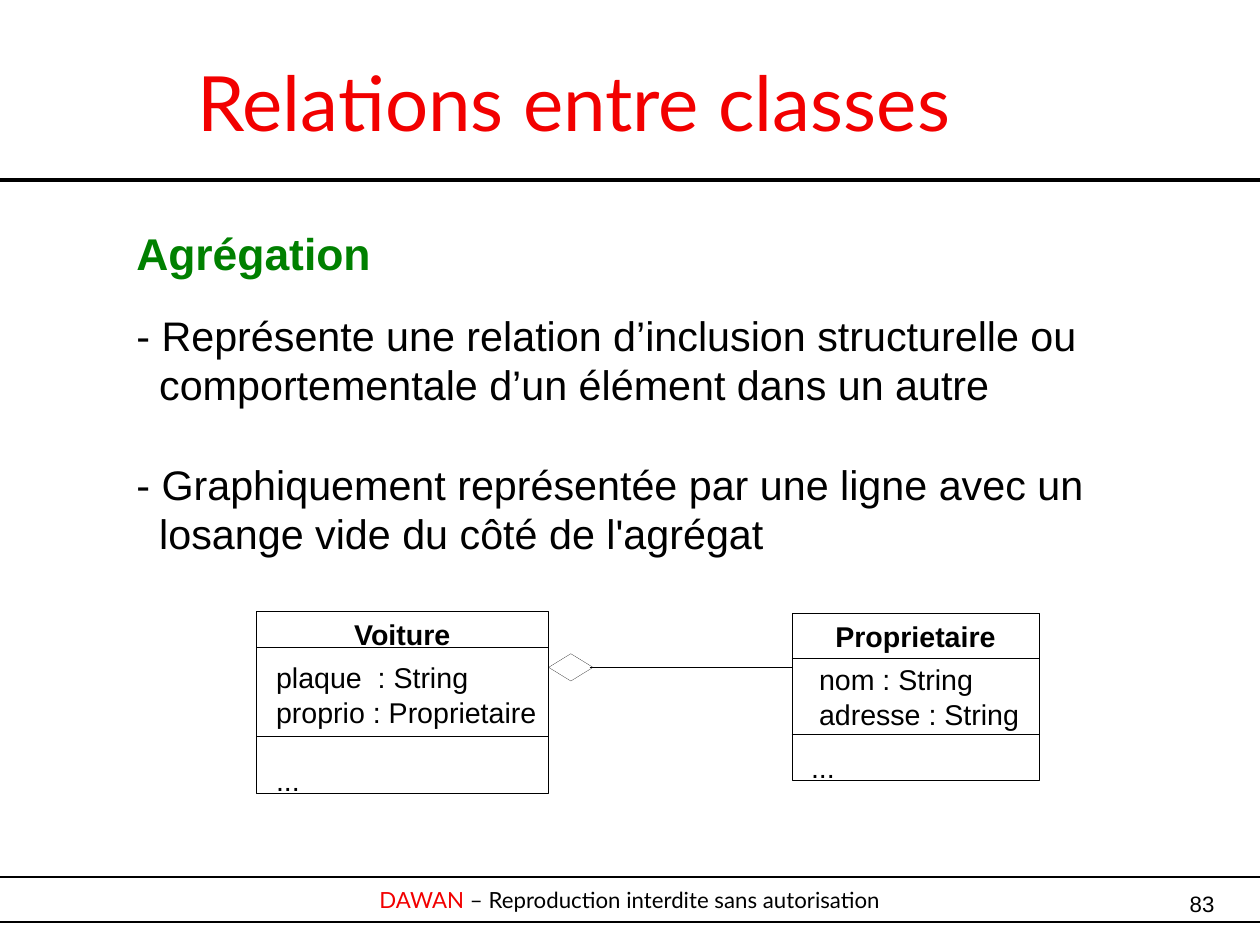
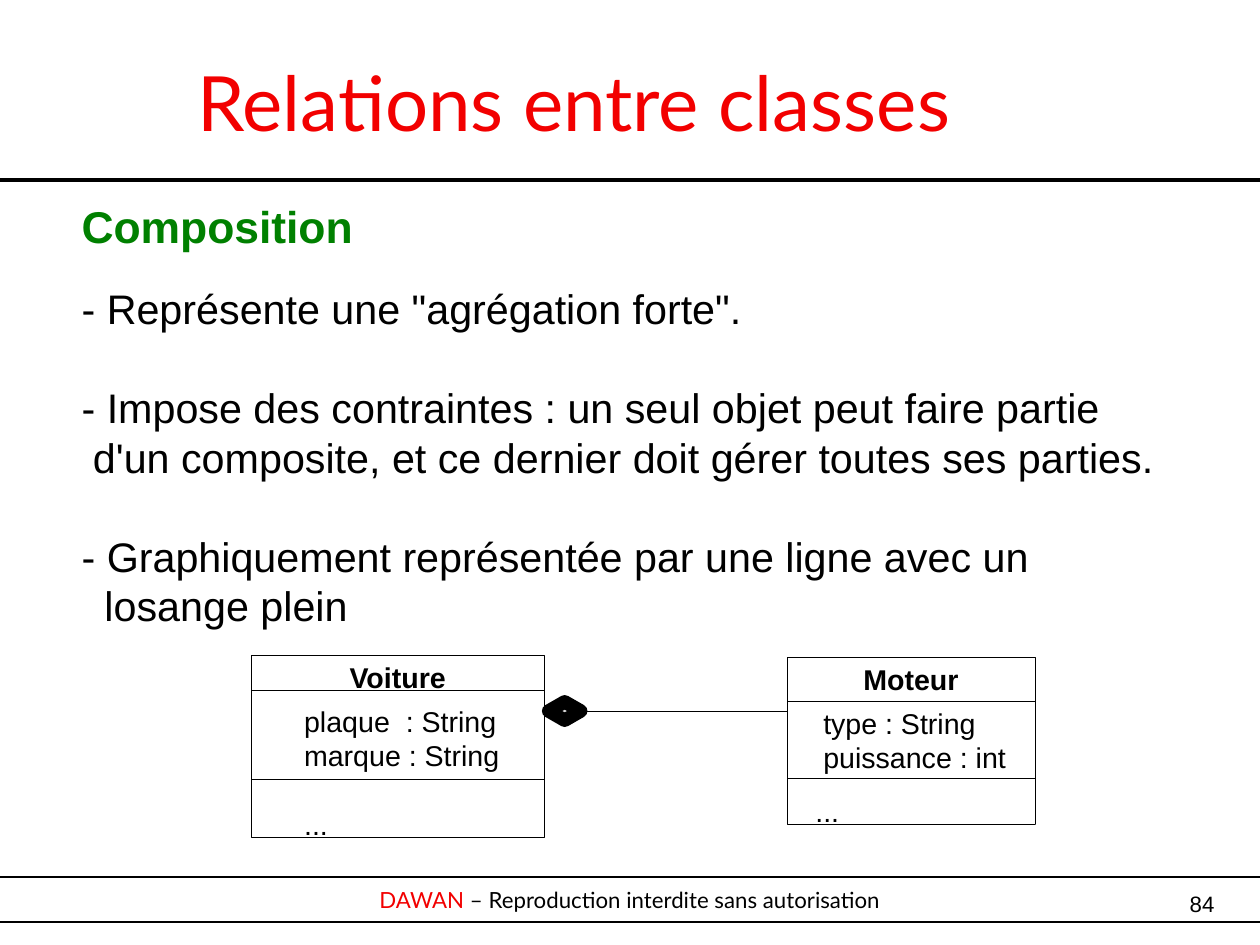
import pptx
import pptx.util
import pptx.dml.color
import pptx.enum.shapes
import pptx.enum.text
import lxml.etree

Pt = pptx.util.Pt
SHAPE = pptx.enum.shapes.MSO_SHAPE
ALIGN = pptx.enum.text.PP_ALIGN
ANCHOR = pptx.enum.text.MSO_ANCHOR

# Shared style
WIDE, HIGH = 793.7, 595.28
RED, GREEN, BLACK = "F20000", "008000", "000000"
SANS, HEAD = "Arial", "Lato"
LEAD = 1.2  # line height per point of type
THIN = 0.1


def color(code):
    return pptx.dml.color.RGBColor.from_string(code)


def frame(shape, anchor=ANCHOR.TOP):
    """Prepare the text frame of a shape: wrapped, without margins."""
    text = shape.text_frame
    text.word_wrap = True
    text.vertical_anchor = anchor
    text.margin_left = text.margin_right = Pt(0)
    text.margin_top = text.margin_bottom = Pt(0)
    return text


def label(slide, left, top, width, height, anchor=ANCHOR.TOP):
    box = slide.shapes.add_textbox(Pt(left), Pt(top), Pt(width), Pt(height))
    return frame(box, anchor)


def style(font, size, code, name, bold=False):
    font.size, font.name, font.bold = Pt(size), name, bold
    font.color.rgb = color(code)


def write(text, words, size, code=BLACK, name=SANS, bold=False,
          align=ALIGN.LEFT, left=0, hang=0, before=0):
    """Fill the first paragraph of a frame, or add one after it."""
    first = text.paragraphs[0]
    para = text.add_paragraph() if first.runs else first
    para.text = words
    para.alignment = align
    props = para._p.get_or_add_pPr()
    props.set("marL", str(Pt(left + hang)))
    props.set("indent", str(Pt(-hang)))
    if name == SANS:
        para.line_spacing = Pt(size * LEAD)
    if before:
        para.space_before = Pt(before)
    style(para.font, size, code, name, bold)


def line(slide, x1, y1, x2, y2, weight=THIN):
    rule = slide.shapes.add_connector(
        pptx.enum.shapes.MSO_CONNECTOR.STRAIGHT, Pt(x1), Pt(y1), Pt(x2), Pt(y2))
    rule.line.color.rgb = color(BLACK)
    rule.line.width = Pt(weight)
    props = rule._element.spPr
    lxml.etree.SubElement(props, pptx.oxml.ns.qn("a:effectLst"))


def outline(slide, kind, left, top, width, height, weight=THIN):
    shape = slide.shapes.add_shape(kind, Pt(left), Pt(top), Pt(width), Pt(height))
    shape.shadow.inherit = False
    shape.fill.background()
    shape.line.color.rgb = color(BLACK)
    shape.line.width = Pt(weight)
    return shape


def base(deck, number):
    """Start a slide with the title, rule, footer and page number."""
    slide = deck.slides.add_slide(deck.slide_layouts[6])
    band = outline(slide, SHAPE.RECTANGLE, -14.4, 552.6, 822.24, 28, 1.42)
    para = frame(band, ANCHOR.MIDDLE).paragraphs[0]
    para.alignment = ALIGN.CENTER
    for words, code in (("DAWAN", RED),
                        (" – Reproduction interdite sans autorisation", BLACK)):
        run = para.add_run()
        run.text = words
        style(run.font, 14, code, HEAD)
    line(slide, 0, 113.3, WIDE, 113.3, 2.83)
    title = label(slide, 28.4, 14, 666, 99.4, ANCHOR.MIDDLE)
    write(title, "Relations entre classes", 48, RED, HEAD, align=ALIGN.CENTER)
    page = label(slide, 737, 561, 28, 30)
    write(page, str(number), 14, align=ALIGN.RIGHT)
    return slide


def body(slide, left, top, head, points):
    """Write a green heading and its points, each as (words, hang)."""
    text = label(slide, left, top, 700, 230)
    write(text, head, 28, GREEN, bold=True)
    gap = 16 * LEAD
    for words, hang in points:
        write(text, words, 26, hang=hang, before=gap)
        gap = 26 * LEAD


def uml(slide, left, top, width, height, cuts, name, fields, inset, dots, gap):
    """Draw a class box; cuts are the heights of its two dividers."""
    box = outline(slide, SHAPE.RECTANGLE, left, top, width, height)
    text = frame(box)
    text.margin_top = Pt(3.2)
    write(text, name, 18, bold=True, align=ALIGN.CENTER)
    for row, field in enumerate(fields):
        write(text, field, 18, left=inset, before=0 if row else 5 * LEAD)
    write(text, "...", 18, left=dots, before=gap * LEAD)
    for cut in cuts:
        line(slide, left, top + cut, left + width, top + cut)


def link(slide, left, top, whole, part, solid):
    """Draw two classes joined by a diamond; each is (name, fields, inset, dots)."""
    width, far, mid = 184.3, 337.4, top + 35.2
    uml(slide, left, top, width, 114.5, (22.3, 78.4), *whole, 18)
    uml(slide, left + far, top + 1.2, 156, 105, (28, 76.1), *part, 10)
    line(slide, left + 210.2, mid, left + far, mid)
    if not solid:
        outline(slide, SHAPE.DIAMOND, left + width, mid - 8.6, 28, 17.2)
        return
    gem = outline(slide, SHAPE.DIAMOND, left + 187.2, mid - 5.8, 20.2, 11.6, 8.5)
    gem.fill.solid()
    gem.fill.fore_color.rgb = color(BLACK)
    tint = gem._element.spPr.find(".//" + pptx.oxml.ns.qn("a:srgbClr"))
    lxml.etree.SubElement(tint, pptx.oxml.ns.qn("a:alpha")).set("val", "15000")


def main():
    deck = pptx.Presentation()
    deck.slide_width, deck.slide_height = Pt(WIDE), Pt(HIGH)

    # Aggregation
    slide = base(deck, 83)
    body(slide, 85.9, 142.6, "Agrégation", (
        ("- Représente une relation d’inclusion structurelle ou\v"
         "comportementale d’un élément dans un autre", 14.4),
        ("- Graphiquement représentée par une ligne avec un\v"
         "losange vide du côté de l'agrégat", 14.4)))
    link(slide, 161.3, 385.2,
         ("Voiture", ("plaque  : String", "proprio : Proprietaire"), 12.6, 12.6),
         ("Proprietaire", ("nom : String", "adresse : String"), 17.2, 12.2), False)

    # Composition
    slide = base(deck, 84)
    body(slide, 51.4, 125.6, "Composition", (
        ('- Représente une "agrégation forte".', 0),
        ("- Impose des contraintes : un seul objet peut faire partie\v"
         "d'un composite, et ce dernier doit gérer toutes ses parties.", 7.2),
        ("- Graphiquement représentée par une ligne avec un\v"
         "losange plein", 14.4)))
    link(slide, 158.4, 412.7,
         ("Voiture", ("plaque  : String", "marque : String"), 33.2, 33.2),
         ("Moteur", ("type : String", "puissance : int"), 22.8, 17.8), True)

    deck.save("out.pptx")


if __name__ == "__main__":
    main()
